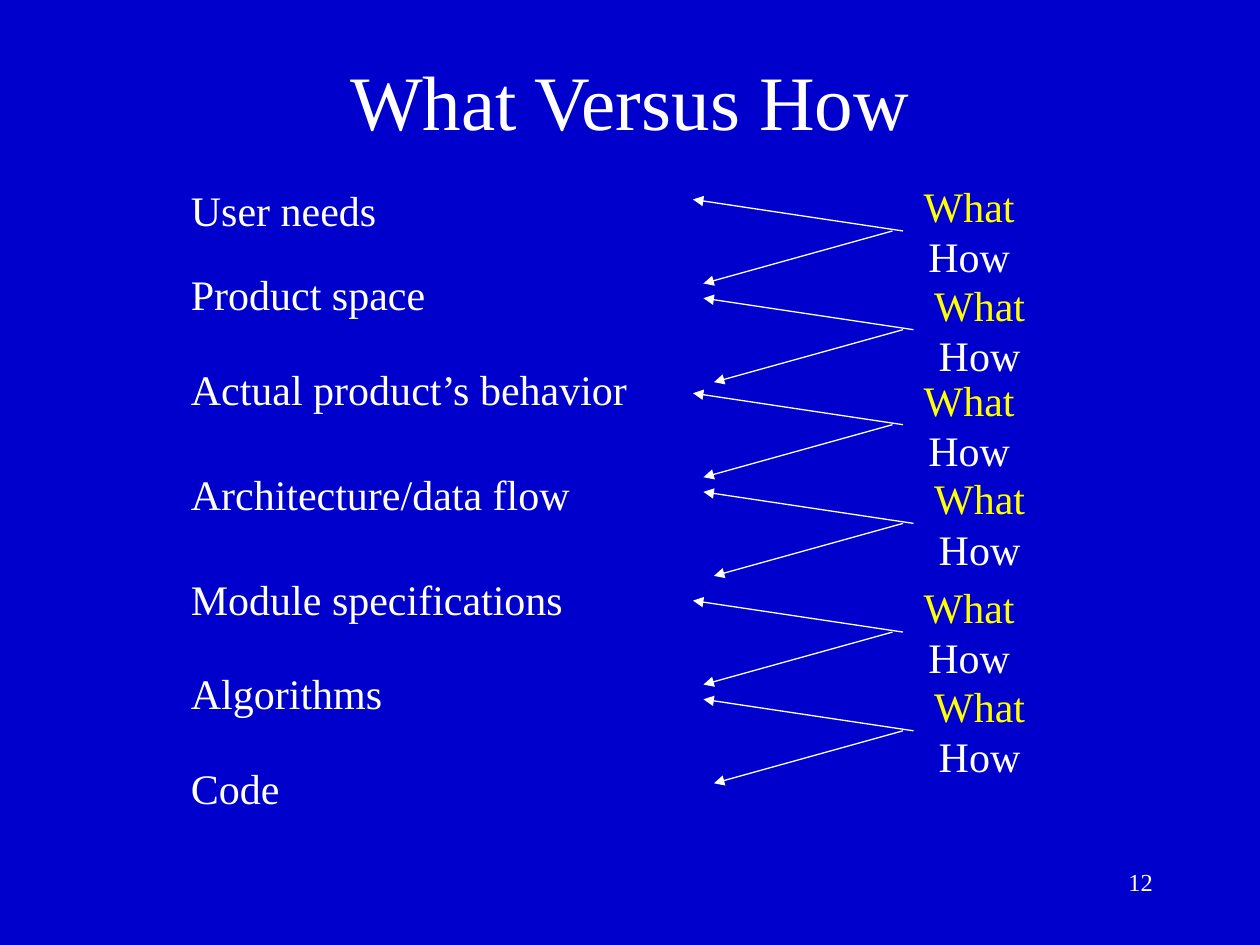
from typing import NamedTuple

import pptx
import pptx.dml.color
import pptx.enum.shapes
import pptx.enum.text
import pptx.oxml
import pptx.oxml.ns
import pptx.util

BLUE = pptx.dml.color.RGBColor(0x00, 0x00, 0xCC)
WHITE = pptx.dml.color.RGBColor(0xFF, 0xFF, 0xFF)
YELLOW = pptx.dml.color.RGBColor(0xFF, 0xFF, 0x00)
FONT = "Times New Roman"
ALIGN = pptx.enum.text.PP_ALIGN
ANCHOR = pptx.enum.text.MSO_ANCHOR
AUTO = pptx.enum.text.MSO_AUTO_SIZE

# Grid: 12 columns and 12 rows to the inch
COLS, ROWS = 120, 90
LABEL_COL = 17


class Label(NamedTuple):
    text: str
    row: float
    width: float


class Fork(NamedTuple):
    """Two arrows leaving one point, with its What/How caption."""
    col: float
    row: float


LABELS = [
    Label("User needs", 17, 20.5),
    Label("Product space", 25, 25),
    Label("Actual product’s behavior", 34, 44.5),
    Label("Architecture/data flow", 44, 39),
    Label("Module specifications", 54, 38),
    Label("Algorithms", 63, 21),
    Label("Code", 72, 11.3),
]
# Forks come in pairs; the second is one column right and 9.4 rows down
FORKS = [Fork(86 + i, row + 9.4 * i) for row in (22, 40.45, 60.2) for i in (0, 1)]

prs = pptx.Presentation()
prs.slide_width = pptx.util.Inches(10)
prs.slide_height = pptx.util.Inches(7.5)


def x(col: float) -> int:
    return round(prs.slide_width * col / COLS)


def y(row: float) -> int:
    return round(prs.slide_height * row / ROWS)


def write(p, text: str, *, size: float = 24, color=WHITE, align=ALIGN.LEFT,
          leading: float | None = None) -> None:
    p.alignment = align
    if leading:
        p.line_spacing = pptx.util.Pt(leading)
    r = p.add_run()
    r.text = text
    r.font.name = FONT
    r.font.size = pptx.util.Pt(size)
    r.font.color.rgb = color


def add_box(s, col: float, row: float, width: float, height: float, wrap: bool = False):
    tf = s.shapes.add_textbox(x(col), y(row), x(width), y(height)).text_frame
    tf.word_wrap = wrap
    tf.auto_size = AUTO.NONE if wrap else AUTO.SHAPE_TO_FIT_TEXT
    return tf


def add_arrow(s, start: tuple[float, float], end: tuple[float, float]) -> None:
    line = s.shapes.add_connector(
        pptx.enum.shapes.MSO_CONNECTOR.STRAIGHT,
        x(start[0]), y(start[1]), x(end[0]), y(end[1]))
    line.line.color.rgb = WHITE
    line.line.width = pptx.util.Pt(0.75)
    head = pptx.oxml.parse_xml(
        f'<a:tailEnd {pptx.oxml.ns.nsdecls("a")} type="triangle"/>')
    line.line._get_or_add_ln().append(head)
    line._element.spPr.append(
        pptx.oxml.parse_xml(f'<a:effectLst {pptx.oxml.ns.nsdecls("a")}/>'))


def add_fork(s, fork: Fork) -> None:
    col, row = fork
    add_arrow(s, (col, row), (col - 20, row - 3))
    add_arrow(s, (col - 1, row), (col - 19, row + 5))
    tf = add_box(s, col + 0.55, row - 5.4, 11.5, 10.8)
    write(tf.paragraphs[0], "What", color=YELLOW, align=ALIGN.CENTER, leading=28.8)
    write(tf.add_paragraph(), "How", align=ALIGN.CENTER, leading=28.8)


def main() -> None:
    s = prs.slides.add_slide(prs.slide_layouts[5])
    s.background.fill.solid()
    s.background.fill.fore_color.rgb = BLUE

    # Title
    sp = s.shapes.title
    sp.left, sp.top, sp.width, sp.height = x(9), y(2), x(102), y(15)
    sp.text_frame.vertical_anchor = ANCHOR.MIDDLE
    write(sp.text_frame.paragraphs[0], "What Versus How", size=44, align=ALIGN.CENTER)

    # Development stages
    for label in LABELS:
        tf = add_box(s, LABEL_COL, label.row, label.width, 6)
        write(tf.paragraphs[0], label.text, leading=28.8)

    # What/How links between neighbouring stages
    for fork in FORKS:
        add_fork(s, fork)

    # Slide number
    tf = add_box(s, 86, 82, 25, 6, wrap=True)
    write(tf.paragraphs[0], "12", size=14, align=ALIGN.RIGHT)

    prs.save("out.pptx")


if __name__ == "__main__":
    main()
